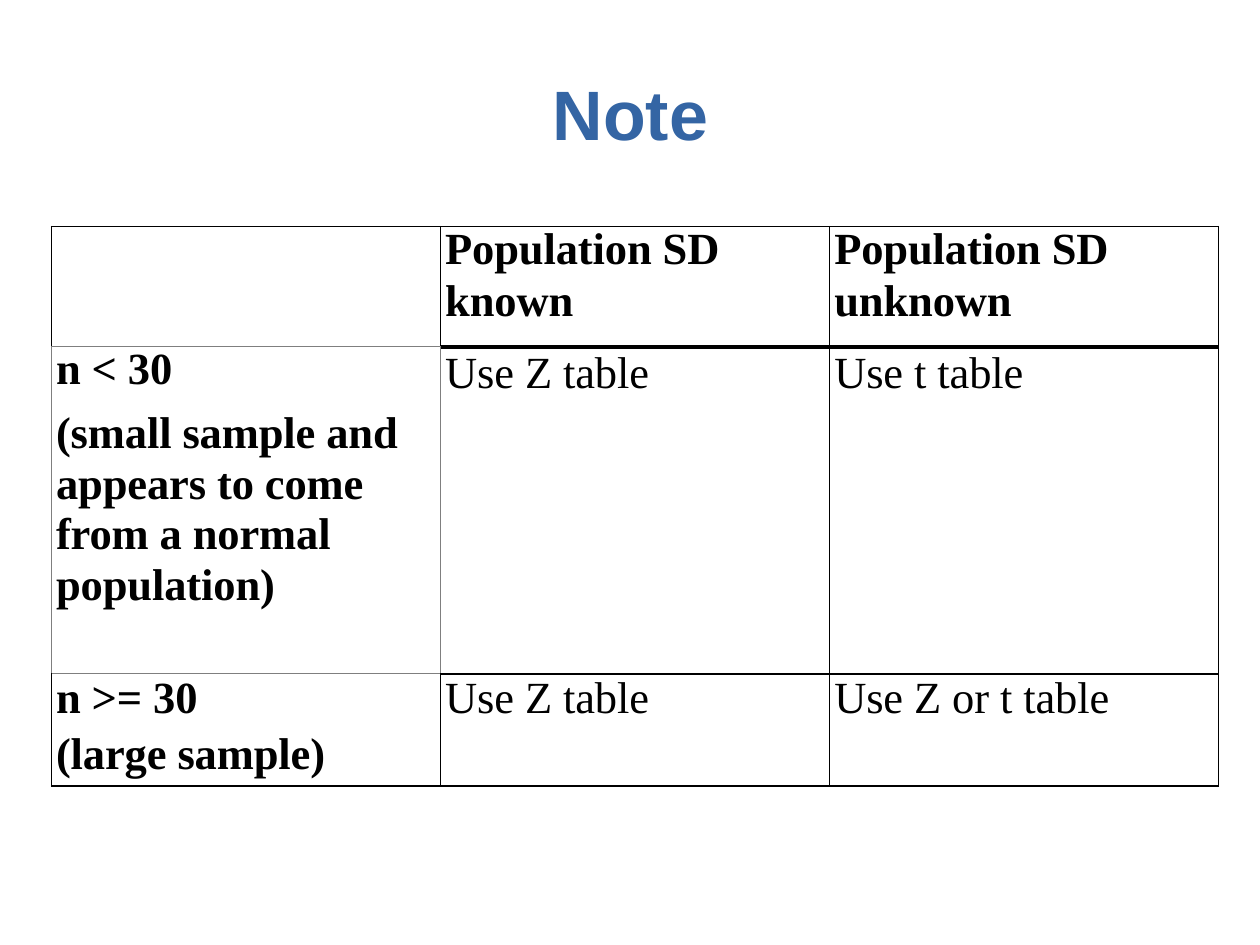
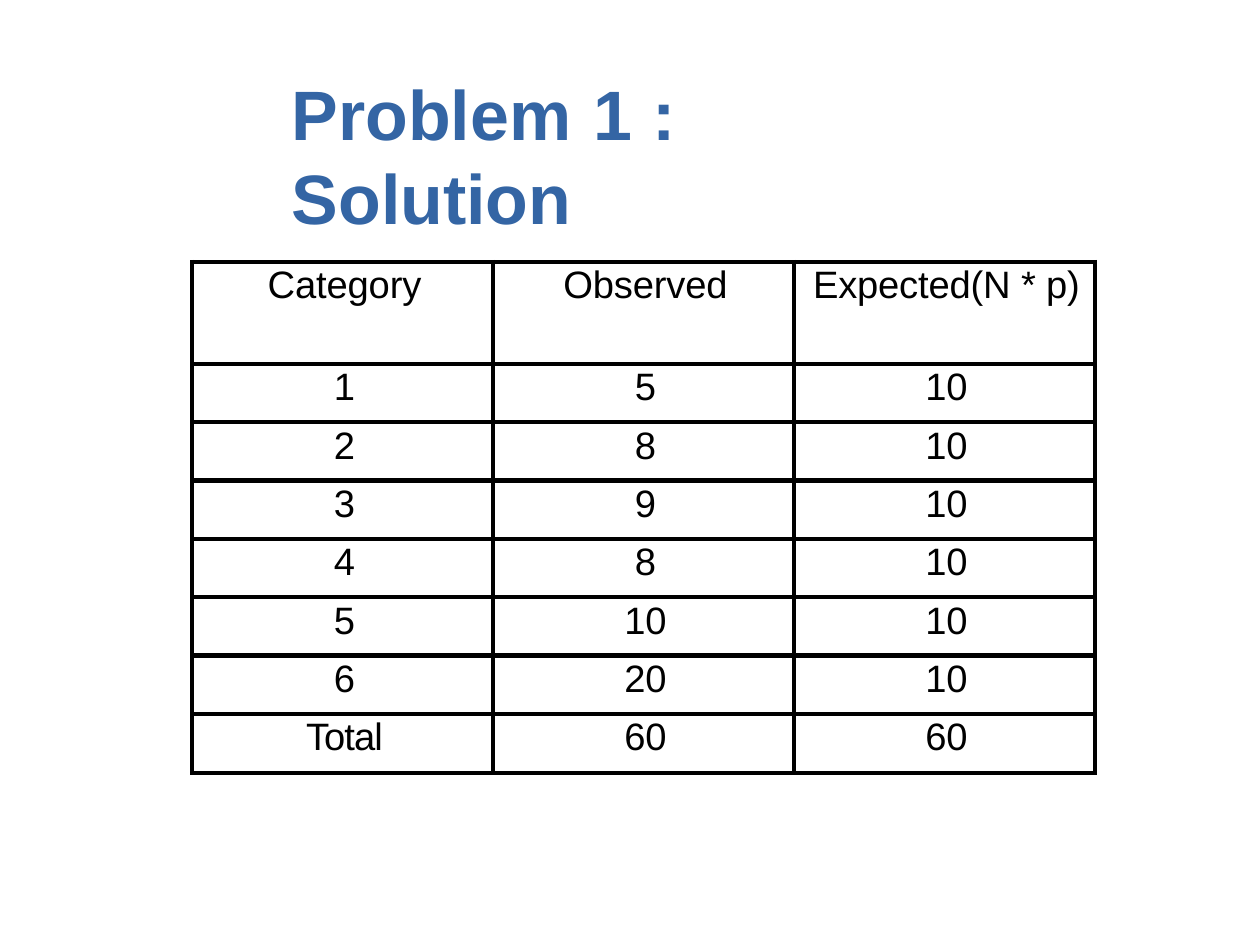
import pptx
import pptx.dml.color
import pptx.enum.text
import pptx.oxml
import pptx.oxml.ns
import pptx.util
from pptx.util import Inches

COLORS = {"title": "3465A4", "ink": "000000", "soft_rule": "7F7F7F"}
THIN = ("ink", 1)
THICK = ("ink", 3)
SOFT = ("soft_rule", 0.5)
SIDES = ("L", "R", "T", "B")
ALIGN = pptx.enum.text.PP_ALIGN


def write(paragraph, text, *, font, size, color="ink", bold=False,
          align=ALIGN.LEFT, line=None, before=0, tracking=0):
    """Fill one paragraph with formatted text."""
    paragraph.text = text
    paragraph.alignment = align
    paragraph.space_before = pptx.util.Pt(before)
    if line:
        paragraph.line_spacing = pptx.util.Pt(line)
    for run in paragraph.runs:
        run.font.name = font
        run.font.size = pptx.util.Pt(size)
        run.font.bold = bold
        run.font.color.rgb = pptx.dml.color.RGBColor.from_string(COLORS[color])
        if tracking:
            run.font._element.set("spc", str(round(tracking * 100)))


def add_tab_stops(paragraph, stops):
    tabs = pptx.oxml.parse_xml(f"<a:tabLst {pptx.oxml.ns.nsdecls('a')}/>")
    for stop in stops:
        tabs.append(pptx.oxml.parse_xml(
            f'<a:tab {pptx.oxml.ns.nsdecls("a")} pos="{Inches(stop)}" algn="l"/>'))
    paragraph._p.get_or_add_pPr().append(tabs)


def add_titled_slide(deck, text, left, width, indent=0, stops=()):
    """Add a title-only slide in the shared title style."""
    slide = deck.slides.add_slide(deck.slide_layouts[5])
    title = slide.shapes.title
    title.left, title.top = Inches(left), Inches(0.6)
    title.width, title.height = Inches(width), Inches(0.76)
    frame = title.text_frame
    frame.margin_left, frame.margin_top = Inches(indent), Inches(0.01)
    frame.margin_right = frame.margin_bottom = 0
    frame.vertical_anchor = pptx.enum.text.MSO_ANCHOR.TOP
    frame.word_wrap = True
    frame.auto_size = pptx.enum.text.MSO_AUTO_SIZE.SHAPE_TO_FIT_TEXT
    heading = frame.paragraphs[0]
    write(heading, text, font="Arial", size=44, color="title", bold=True, line=53)
    if stops:
        add_tab_stops(heading, stops)
    return slide


def set_borders(cell, borders):
    """Draw the four borders of a cell from a side-to-style dict."""
    properties = cell._tc.get_or_add_tcPr()
    for side in SIDES:
        color, width = borders[side]
        properties.append(pptx.oxml.parse_xml(
            f'<a:ln{side} {pptx.oxml.ns.nsdecls("a")} w="{pptx.util.Pt(width)}">'
            f'<a:solidFill><a:srgbClr val="{COLORS[color]}"/></a:solidFill>'
            f'<a:prstDash val="solid"/></a:ln{side}>'))


def add_grid(slide, left, top, column_width, row_heights, indent, border, special=None):
    """Add a plain three-column table; special maps (row, column) to borders."""
    grid = slide.shapes.add_table(
        len(row_heights), 3, Inches(left), Inches(top),
        Inches(3 * column_width), Inches(sum(row_heights))).table
    grid.first_row = grid.horz_banding = False
    for column in grid.columns:
        column.width = Inches(column_width)
    for row, height in zip(grid.rows, row_heights):
        row.height = Inches(height)
    for r in range(len(row_heights)):
        for c in range(3):
            cell = grid.cell(r, c)
            cell.margin_left = Inches(indent)
            cell.margin_right = cell.margin_top = cell.margin_bottom = 0
            set_borders(cell, dict.fromkeys(SIDES, border) | (special or {}).get((r, c), {}))
            cell.fill.background()
    return grid


def fill_cell(cell, lines, **style):
    """Write (text, line spacing, space before) tuples as paragraphs."""
    frame = cell.text_frame
    for number, (text, line, before) in enumerate(lines):
        paragraph = frame.add_paragraph() if number else frame.paragraphs[0]
        write(paragraph, text, line=line, before=before, **style)


def build_note(deck):
    slide = add_titled_slide(deck, "Note", 4.82, 1.39, indent=0.01)
    # Heavy rule below the headings, soft frame around the small-sample cell
    special = {
        (0, 0): {"B": SOFT}, (0, 1): {"B": THICK}, (0, 2): {"B": THICK},
        (1, 0): dict.fromkeys(SIDES, SOFT),
        (1, 1): {"L": SOFT, "T": THICK}, (1, 2): {"T": THICK},
        (2, 0): {"T": SOFT},
    }
    guide = add_grid(slide, 0.45, 1.98, 3.4, (1.05, 2.86, 0.98), 0.04, THIN, special)
    contents = [
        [[], [("Population SD", 29.8, 0), ("known", 32.8, 0)],
         [("Population SD", 29.8, 0), ("unknown", 32.8, 0)]],
        [[("n < 30", 30.1, 0),
          ("(small sample and appears to come from a normal population)", 32, 7.8)],
         [("Use Z table", 32.1, 0)], [("Use t table", 32.1, 0)]],
        [[("n >= 30", 30.9, 0), ("(large sample)", None, 4.4)],
         [("Use Z table", 30.9, 0)], [("Use Z or t table", 30.9, 0)]],
    ]
    for r, row in enumerate(contents):
        for c, lines in enumerate(row):
            fill_cell(guide.cell(r, c), lines, font="Times New Roman", size=28,
                      bold=r == 0 or c == 0, tracking=-0.05)


def build_solution(deck):
    slide = add_titled_slide(deck, "Problem\t1\t:\vSolution", 2.52, 5.98,
                             indent=0.03, stops=(2.64, 3.15))
    # Observed and expected counts
    observed = (5, 8, 9, 8, 10, 20)
    expected = (10,) * len(observed)
    rows = [("Category", "Observed", "Expected(N * p)"),
            *zip(range(1, len(observed) + 1), observed, expected),
            ("Total", sum(observed), sum(expected))]
    counts = add_grid(slide, 1.68, 2.29, 2.63, (0.89,) + (0.51,) * 6 + (0.52,), 0.03, THICK)
    for r, row in enumerate(rows):
        for c, value in enumerate(row):
            fill_cell(counts.cell(r, c), [(str(value), 28.4 if r else 27.8, 0)],
                      font="Arial", size=24, align=ALIGN.CENTER,
                      tracking=-0.6 if value == "Total" else -0.1)


def main():
    deck = pptx.Presentation()
    deck.slide_width, deck.slide_height = Inches(11.01), Inches(8.26)
    build_note(deck)
    build_solution(deck)
    deck.save("out.pptx")


if __name__ == "__main__":
    main()
